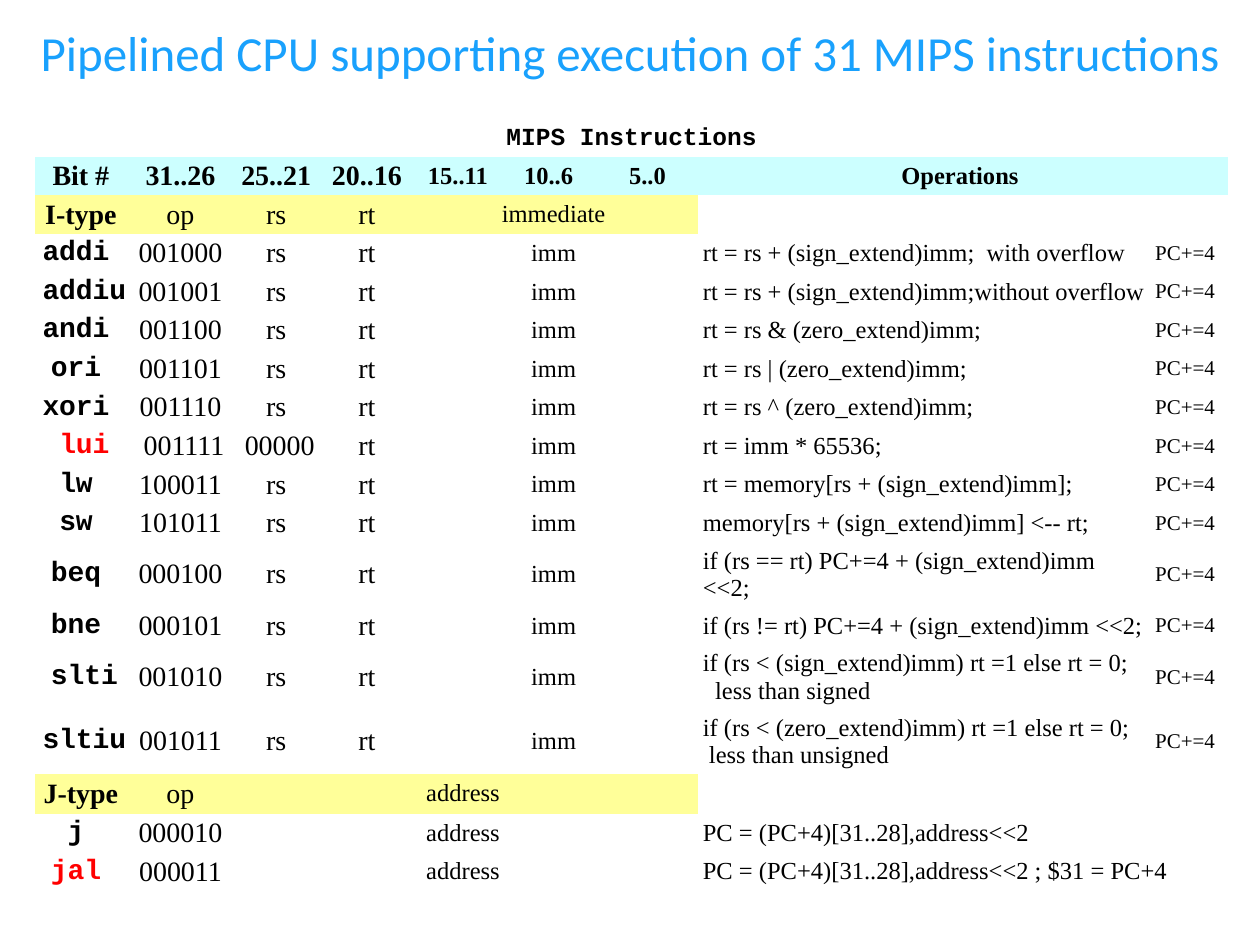
from pptx import Presentation
from pptx import util as u
from pptx.dml.color import RGBColor
from pptx.enum import text

COLORS = {"title": "19A1FD", "black": "000000", "red": "FF0000",
          "header": "CCFFFF", "format": "FFFF99"}
SERIF, MONO = "Times New Roman", "Courier New"
NEXT_PC = "PC+=4"


def set_font(p, name, size, color="black", bold=False):
    p.font.name = name
    p.font.size = u.Pt(size)
    p.font.bold = bold
    p.font.color.rgb = RGBColor.from_string(COLORS[color])


def fill_cell(row, col, content="", span=1, name=SERIF, size=14, color="black",
              bold=False, align=text.PP_ALIGN.CENTER, fill=None):
    """Write one table cell, merged over span columns."""
    cell = table.cell(row, col)
    if span > 1:
        cell.merge(table.cell(row, col + span - 1))
    cell.margin_left = cell.margin_right = u.Inches(0.04)
    cell.margin_top = cell.margin_bottom = u.Inches(0.02)
    cell.vertical_anchor = text.MSO_ANCHOR.MIDDLE
    if fill:
        cell.fill.solid()
        cell.fill.fore_color.rgb = RGBColor.from_string(COLORS[fill])
    else:
        cell.fill.background()
    cell.text_frame.text = content
    for p in cell.text_frame.paragraphs:
        p.alignment = align
        set_font(p, name, size, color, bold)


prs = Presentation()
prs.slide_width, prs.slide_height = u.Inches(10), u.Inches(7.5)
s = prs.slides.add_slide(prs.slide_layouts[6])

# Title
tf = s.shapes.add_textbox(0, u.Inches(0.08), u.Inches(10), u.Inches(0.67)).text_frame
tf.word_wrap = True
tf.vertical_anchor = text.MSO_ANCHOR.MIDDLE
p = tf.paragraphs[0]
p.text = "Pipelined CPU supporting execution of 31 MIPS instructions"
p.alignment = text.PP_ALIGN.CENTER
set_font(p, "Calibri", 28, "title")

# Table grid: a few special rows, the rest share the remaining height
widths = [0.78, 0.8, 0.72, 0.72, 0.72, 0.72, 0.8, 3.59, 0.62]
special_heights = {0: 0.27, 13: 0.51, 14: 0.51, 15: 0.32}
row_count, height = 18, 5.89
plain_height = (height - sum(special_heights.values())) / (row_count - len(special_heights))
frame = s.shapes.add_table(row_count, len(widths), u.Inches(0.28), u.Inches(0.97),
                           u.Inches(9.45), u.Inches(height))
table = frame.table
table.first_row = table.horz_banding = False
NO_STYLE_NO_GRID = "{2D5ABB26-0587-4C30-8999-92F81FD0307C}"
table._tbl.tblPr[0].text = NO_STYLE_NO_GRID
for column, width in zip(table.columns, widths):
    column.width = u.Inches(width)
for i, row in enumerate(table.rows):
    row.height = u.Inches(special_heights.get(i, plain_height))

# Caption and column headings
fill_cell(0, 0, "MIPS Instructions", span=9, name=MONO, bold=True)
headings = ["Bit # ", "31..26 ", "25..21 ", "20..16 ", "15..11 ", "10..6 ", "5..0",
            "Operations "]
for col, heading in enumerate(headings):
    fill_cell(1, col, heading, span=2 if col == 7 else 1, size=16 if col < 4 else 14,
              bold=True, fill="header")

# Instruction formats
for row, label, registers, field in [(2, "I-type ", ["rs ", "rt "], "immediate "),
                                     (15, "J-type ", [], "address ")]:
    fill_cell(row, 0, label, size=16, bold=True, fill="format")
    for col, content in enumerate(["op "] + registers, start=1):
        fill_cell(row, col, content, size=16, fill="format")
    first = 2 + len(registers)
    fill_cell(row, first, field, span=7 - first, fill="format")
    fill_cell(row, 7)
    fill_cell(row, 8)

# I-type instructions
i_type = [
    ("addi ", "001000 ", "rt = rs + (sign_extend)imm;  with overflow"),
    ("addiu ", "001001 ", "rt = rs + (sign_extend)imm;without overflow"),
    ("andi ", "001100 ", "rt = rs & (zero_extend)imm;"),
    ("ori ", "001101 ", "rt = rs | (zero_extend)imm;"),
    ("xori ", "001110 ", "rt = rs ^ (zero_extend)imm;"),
    ("lui", "001111", "rt = imm * 65536;"),
    ("lw ", "100011 ", "rt = memory[rs + (sign_extend)imm];"),
    ("sw ", "101011 ", "memory[rs + (sign_extend)imm] <-- rt;"),
    ("beq ", "000100 ", "if (rs == rt) PC+=4 + (sign_extend)imm <<2;"),
    ("bne ", "000101 ", "if (rs != rt) PC+=4 + (sign_extend)imm <<2;"),
    ("slti", "001010 ", "if (rs < (sign_extend)imm) rt =1 else rt = 0;\n  less than signed"),
    ("sltiu", "001011 ", "if (rs < (zero_extend)imm) rt =1 else rt = 0;\n less than unsigned"),
]
left = text.PP_ALIGN.LEFT
for row, (mnemonic, opcode, operation) in enumerate(i_type, start=3):
    is_lui = mnemonic == "lui"
    fill_cell(row, 0, mnemonic, name=MONO, size=16, bold=True,
              color="red" if is_lui else "black")
    for col, content in enumerate([opcode, "00000" if is_lui else "rs ", "rt "], start=1):
        fill_cell(row, col, content, size=16)
    fill_cell(row, 4, "imm ", span=3)
    fill_cell(row, 7, operation, align=left)
    fill_cell(row, 8, NEXT_PC, size=12, align=left)

# J-type instructions
j_type = [("j ", "000010 ", "black", "PC = (PC+4)[31..28],address<<2"),
          ("jal ", "000011 ", "red", "PC = (PC+4)[31..28],address<<2 ; $31 = PC+4")]
for row, (mnemonic, opcode, color, operation) in enumerate(j_type, start=16):
    fill_cell(row, 0, mnemonic, name=MONO, size=16, color=color, bold=True)
    fill_cell(row, 1, opcode, size=16)
    fill_cell(row, 2, "address ", span=5)
    fill_cell(row, 7, operation, span=2, align=left)

prs.save("out.pptx")
